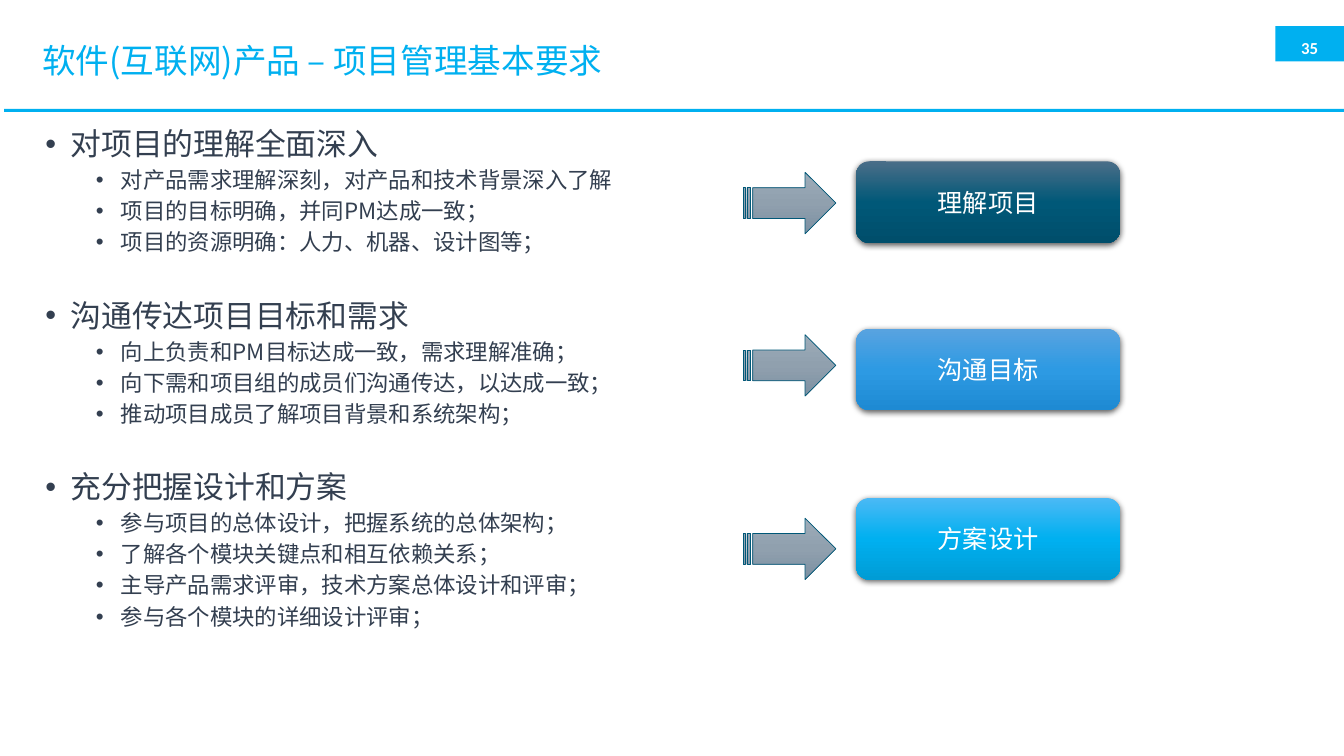
import pptx
import pptx.dml.color
import pptx.enum.shapes
import pptx.enum.text
import pptx.oxml.ns
import pptx.util
from lxml import etree
from pptx.util import Inches

FONT = "Noto Sans CJK SC"
ACCENT = "00B0F0"
SHAPES = pptx.enum.shapes.MSO_SHAPE
ALIGN = pptx.enum.text.PP_ALIGN
ANCHOR = pptx.enum.text.MSO_ANCHOR

SECTIONS = [
    ("对项目的理解全面深入", [
        "对产品需求理解深刻，对产品和技术背景深入了解",
        "项目的目标明确，并同PM达成一致；",
        "项目的资源明确：人力、机器、设计图等；"]),
    ("沟通传达项目目标和需求", [
        "向上负责和PM目标达成一致，需求理解准确；",
        "向下需和项目组的成员们沟通传达，以达成一致；",
        "推动项目成员了解项目背景和系统架构；"]),
    ("充分把握设计和方案", [
        "参与项目的总体设计，把握系统的总体架构；",
        "了解各个模块关键点和相互依赖关系；",
        "主导产品需求评审，技术方案总体设计和评审；",
        "参与各个模块的详细设计评审；"]),
]
STEPS = [
    ("理解项目", 1.6, 1.71, ["4B6E88", "005878", "004E6B"]),
    ("沟通目标", 3.26, 3.32, ["59A3E0", "2D9AE3", "1E8AD3"]),
    ("方案设计", 4.94, 5.14, ["4BB9F5", ACCENT, "009CD5"]),
]
ARROW_COLORS = ["9DACB9", "90A0AE", "7C90A2"]


def color(value):
    return pptx.dml.color.RGBColor.from_string(value)


def add_element(parent, tag, **attributes):
    name = pptx.oxml.ns.qn(tag)
    return etree.SubElement(parent, name, attributes)


def write_text(para, text, size=18, fill="FFFFFF", font=FONT, bold=False,
               align=ALIGN.LEFT, spacing=0.9, before=0):
    para.alignment = align
    para.line_spacing = spacing
    para.space_before = pptx.util.Pt(before)
    span = para.add_run()
    span.text = text
    span.font.size = pptx.util.Pt(size)
    span.font.bold = bold
    span.font.name = font
    span.font.color.rgb = color(fill)
    properties = span.font._element
    add_element(properties, "a:ea", typeface=font)


def add_bullet(para, indent):
    properties = para._p.get_or_add_pPr()
    properties.set("marL", str(Inches(indent)))
    properties.set("indent", str(Inches(-0.25)))
    add_element(properties, "a:buFont", typeface="Arial")
    add_element(properties, "a:buChar", char="•")


def place(box, left, top, width, height):
    box.left, box.top = Inches(left), Inches(top)
    box.width, box.height = Inches(width), Inches(height)


def prepare_frame(box, anchor):
    frame = box.text_frame
    frame.word_wrap = True
    frame.auto_size = pptx.enum.text.MSO_AUTO_SIZE.NONE
    frame.vertical_anchor = anchor
    return frame


def add_shape(slide, kind, left, top, width, height):
    shape = slide.shapes.add_shape(
        kind, Inches(left), Inches(top), Inches(width), Inches(height))
    shape.shadow.inherit = False
    shape.line.fill.background()
    return shape


def add_bar(slide, left, top, width, height):
    bar = add_shape(slide, SHAPES.RECTANGLE, left, top, width, height)
    bar.fill.solid()
    bar.fill.fore_color.rgb = color(ACCENT)


def fill_gradient(shape, colors):
    shape.fill.gradient()
    shape.fill.gradient_angle = 270
    stops = shape._element.spPr.find(".//" + pptx.oxml.ns.qn("a:gsLst"))
    for stop in list(stops):
        stops.remove(stop)
    for index, value in enumerate(colors):
        stop = add_element(stops, "a:gs", pos=str(index * 50000))
        add_element(stop, "a:srgbClr", val=value)


def add_shadow(shape):
    effects = shape._element.spPr.find(pptx.oxml.ns.qn("a:effectLst"))
    shadow = add_element(effects, "a:outerShdw", blurRad=str(pptx.util.Pt(4.5)),
                         dist=str(pptx.util.Pt(1.5)), dir="5400000",
                         algn="ctr", rotWithShape="0")
    black = add_element(shadow, "a:srgbClr", val="000000")
    add_element(black, "a:alpha", val="63000")


def add_step(slide, label, top, colors):
    box = add_shape(slide, SHAPES.ROUNDED_RECTANGLE, 8.49, top, 2.62, 0.81)
    fill_gradient(box, colors)
    add_shadow(box)
    frame = prepare_frame(box, ANCHOR.MIDDLE)
    write_text(frame.paragraphs[0], label, align=ALIGN.CENTER, spacing=1.0)


def add_arrow(slide, top):
    arrow = add_shape(slide, SHAPES.STRIPED_RIGHT_ARROW, 7.37, top, 0.92, 0.61)
    fill_gradient(arrow, ARROW_COLORS)
    arrow.line.color.rgb = color("005878")
    arrow.line.width = pptx.util.Pt(0.5)


def add_page_number(slide, number):
    box = slide.shapes.add_textbox(
        Inches(12.75), Inches(0.3), Inches(0.48), Inches(0.27))
    frame = prepare_frame(box, ANCHOR.BOTTOM)
    frame.margin_left = frame.margin_right = 0
    frame.margin_top = frame.margin_bottom = 0
    write_text(frame.paragraphs[0], number, size=12, font="Calibri", bold=True,
               align=ALIGN.CENTER, spacing=1.0)


def fill_outline(body):
    frame = prepare_frame(body, ANCHOR.TOP)
    for index, (heading, points) in enumerate(SECTIONS):
        para = frame.add_paragraph() if index else frame.paragraphs[0]
        add_bullet(para, 0.25)
        write_text(para, heading, size=22, fill="333F50",
                   before=32 if index else 0)
        for point in points:
            para = frame.add_paragraph()
            para.level = 1
            add_bullet(para, 0.75)
            write_text(para, point, size=16, fill="333F50", before=5)


def main():
    """Build the slide and save it."""
    deck = pptx.Presentation()
    deck.slide_width, deck.slide_height = Inches(13.33), Inches(7.5)
    slide = deck.slides.add_slide(deck.slide_layouts[1])
    add_bar(slide, 12.65, 0.26, 0.69, 0.35)
    add_page_number(slide, "35")
    add_bar(slide, 0.04, 1.08, 13.31, 0.03)
    title, body = slide.placeholders
    place(title, 0.32, 0.27, 11.74, 0.7)
    frame = prepare_frame(title, ANCHOR.MIDDLE)
    write_text(frame.paragraphs[0], "软件(互联网)产品 – 项目管理基本要求",
               size=24, fill=ACCENT)
    place(body, 0.35, 1.23, 9.1, 5.39)
    fill_outline(body)
    for label, box_top, arrow_top, colors in STEPS:
        add_step(slide, label, box_top, colors)
        add_arrow(slide, arrow_top)
    deck.save("out.pptx")


if __name__ == "__main__":
    main()
